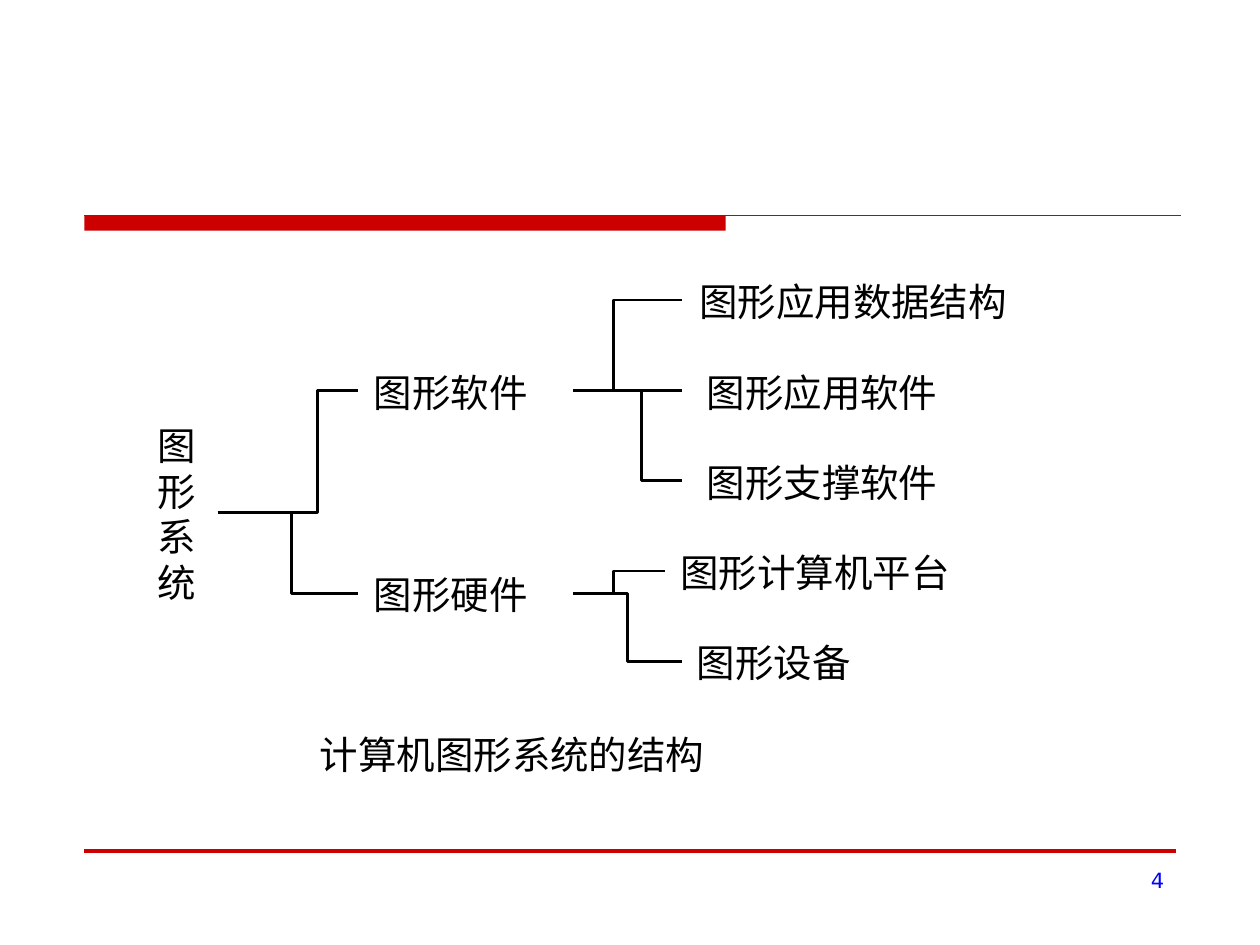
from dataclasses import dataclass

import pptx
import pptx.dml.color
import pptx.enum.shapes
import pptx.enum.text
import pptx.oxml.ns
import pptx.util
from lxml import etree
from pptx.util import Cm

CJK = "Noto Sans CJK SC"
BLACK, RED, BLUE = "000000", "CC0000", "0000FF"
TEXT_SIZE, CHAR_W, TEXT_H = 22, 0.775, 0.94
ROW_TOP, ROW_STEP = 6.05, 1.82
LABEL_RISE = 0.44  # from a branch line up to the top of its label


@dataclass
class Node:
    text: str
    x: float
    y: float  # height of the branch line
    from_x: float
    from_y: float
    bend_x: float
    to_x: float


def color(value: str) -> pptx.dml.color.RGBColor:
    return pptx.dml.color.RGBColor.from_string(value)


def add_text(s, text: str, x: float, y: float, w: float, h: float, size: int = TEXT_SIZE,
             font: str = CJK, hex_color: str = BLACK, margins: tuple = (0, 0),
             wrap: bool = False, align=pptx.enum.text.PP_ALIGN.LEFT) -> None:
    tf = s.shapes.add_textbox(Cm(x), Cm(y), Cm(w), Cm(h)).text_frame
    tf.word_wrap = wrap
    tf.margin_left = tf.margin_right = Cm(margins[0])
    tf.margin_top = tf.margin_bottom = Cm(margins[1])
    p = tf.paragraphs[0]
    p.alignment = align
    r = p.add_run()
    r.text = text
    r.font.size = pptx.util.Pt(size)
    r.font.name = font
    r.font.color.rgb = color(hex_color)
    ea = etree.SubElement(r.font._element, pptx.oxml.ns.qn("a:ea"))
    ea.set("typeface", font)


def add_label(s, text: str, x: float, y: float) -> None:
    add_text(s, text, x, y, CHAR_W * len(text), TEXT_H)


def add_line(s, x1: float, y1: float, x2: float, y2: float,
             hex_color: str, width: float) -> None:
    sp = s.shapes.add_connector(pptx.enum.shapes.MSO_CONNECTOR.STRAIGHT,
                                Cm(x1), Cm(y1), Cm(x2), Cm(y2))
    sp.line.color.rgb = color(hex_color)
    sp.line.width = pptx.util.Pt(width)
    etree.SubElement(sp._element.spPr, pptx.oxml.ns.qn("a:effectLst"))


def add_branch(s, n: Node) -> None:
    if n.from_y == n.y:
        add_line(s, n.from_x, n.y, n.to_x, n.y, BLACK, 1.62)
        return
    fb = s.shapes.build_freeform(Cm(n.from_x), Cm(n.from_y))
    fb.add_line_segments([(Cm(n.bend_x), Cm(n.from_y)), (Cm(n.bend_x), Cm(n.y)),
                          (Cm(n.to_x), Cm(n.y))], close=False)
    sp = fb.convert_to_shape()
    sp.shadow.inherit = False
    sp.fill.background()
    sp.line.color.rgb = color(BLACK)
    sp.line.width = pptx.util.Pt(1.62)


def main() -> None:
    prs = pptx.Presentation()
    prs.slide_width, prs.slide_height = Cm(25.4), Cm(19.05)
    s = prs.slides.add_slide(prs.slide_layouts[6])

    # Title rule and footer rule
    sp = s.shapes.add_shape(pptx.enum.shapes.MSO_SHAPE.RECTANGLE,
                            Cm(1.7), Cm(4.34), Cm(12.93), Cm(0.31))
    sp.shadow.inherit = False
    sp.fill.solid()
    sp.fill.fore_color.rgb = color(RED)
    sp.line.fill.background()
    add_line(s, 1.7, 4.34, 23.8, 4.34, RED, 0.75)
    add_line(s, 1.7, 17.15, 23.7, 17.15, RED, 2.25)

    # Root, one character per line
    for i, char in enumerate("图形系统"):
        add_label(s, char, 3.18, 8.51 + 0.92 * i)

    # Branches and their labels
    rows = [ROW_TOP + ROW_STEP * i for i in range(5)]
    root_x, root_y = 4.39, 10.34
    split_x, software_y, hardware_y = 11.56, rows[1], 11.96
    nodes = [
        Node("图形软件", 7.54, software_y, root_x, root_y, 6.4, 7.21),
        Node("图形硬件", 7.54, hardware_y, root_x, root_y, 5.87, 7.21),
        Node("图形应用数据结构", 14.1, rows[0], split_x, software_y, 12.37, 13.74),
        Node("图形应用软件", 14.25, rows[1], split_x, software_y, split_x, 13.74),
        Node("图形支撑软件", 14.25, rows[2], split_x, software_y, 12.93, 13.74),
        Node("图形计算机平台", 13.72, rows[3], split_x, hardware_y, 12.37, 13.41),
        Node("图形设备", 14.05, rows[4], split_x, hardware_y, 12.65, 13.74),
    ]
    for n in nodes:
        add_branch(s, n)
        add_label(s, n.text, n.x, n.y - LABEL_RISE)

    # Caption and page number
    add_label(s, "计算机图形系统的结构", 6.45, 14.73)
    add_text(s, "4", 18.21, 17.35, 5.51, 1.32, 12, "DejaVu Sans", BLUE,
             (0.25, 0.13), True, pptx.enum.text.PP_ALIGN.RIGHT)

    prs.save("out.pptx")


if __name__ == "__main__":
    main()
